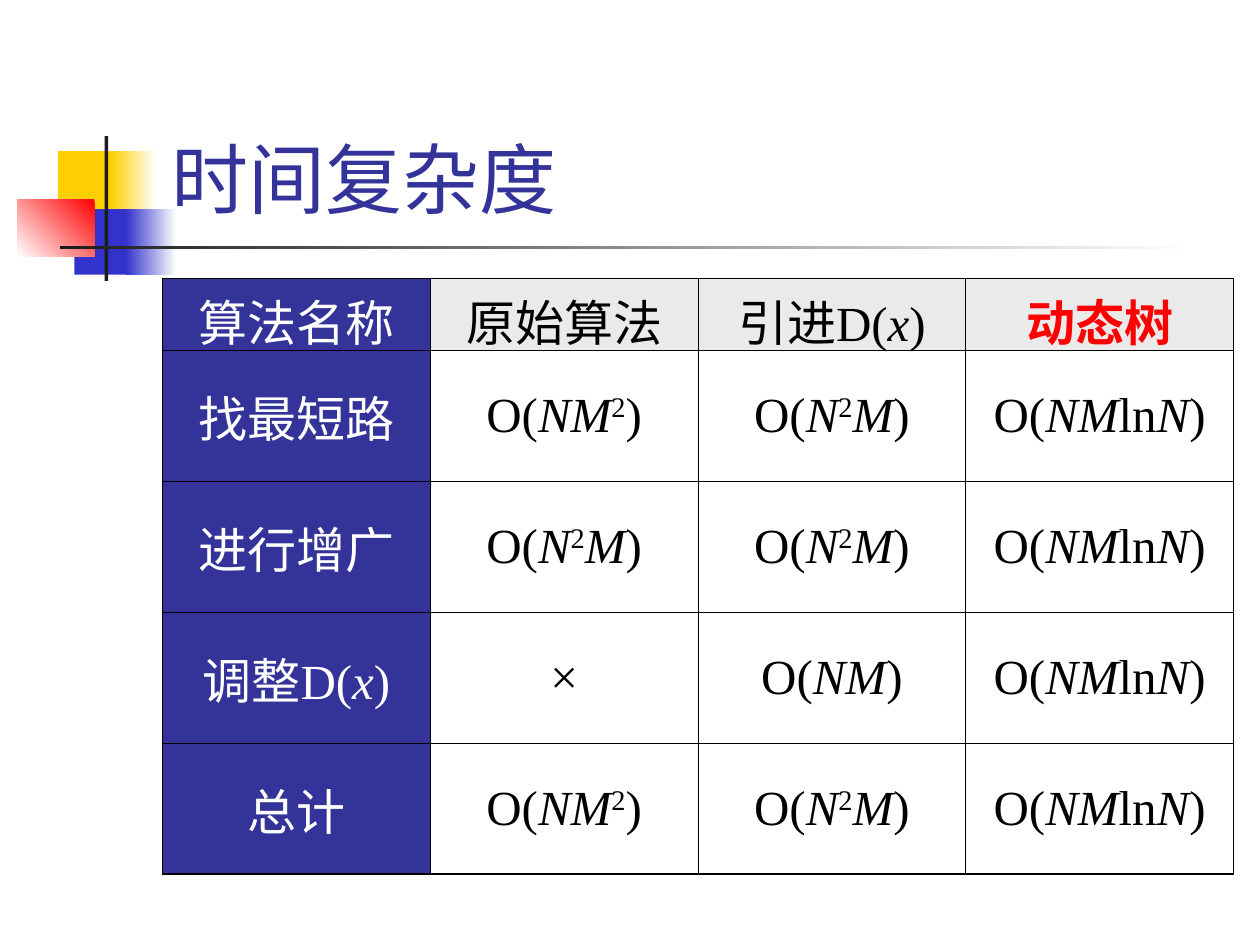
"""Build a slide comparing the time complexity of three algorithms."""
from dataclasses import dataclass
from itertools import groupby

from lxml import etree
from pptx import Presentation
from pptx.dml.color import RGBColor
from pptx.enum.shapes import MSO_SHAPE
from pptx.enum.text import MSO_ANCHOR, PP_ALIGN
from pptx.oxml.ns import qn
from pptx.util import Inches, Pt

RECTANGLE = MSO_SHAPE.RECTANGLE
BOTTOM, MIDDLE = MSO_ANCHOR.BOTTOM, MSO_ANCHOR.MIDDLE
LEFT, CENTER = PP_ALIGN.LEFT, PP_ALIGN.CENTER


@dataclass(frozen=True)
class Theme:
    font: str = "Times New Roman"
    title_size: float = 44
    cell_size: float = 28
    space_before: float = 7
    outer_line: float = 1.08
    inner_line: float = 0.45
    indigo: str = "333399"
    blue: str = "3333CC"
    yellow: str = "FFCF01"
    red: str = "FF0000"
    charcoal: str = "1C1C1C"
    grey: str = "EAEAEA"
    white: str = "FFFFFF"
    black: str = "000000"


def rgb(color):
    return RGBColor.from_string(color)


def math_style(character):
    if character in "NMx":
        return "variable"
    return "exponent" if character.isdigit() else "plain"


def write_text(frame, text, *, font, size, color, bold=False,
               align=LEFT, anchor=MIDDLE, space_before=0):
    frame.word_wrap = True
    frame.vertical_anchor = anchor
    paragraph = frame.paragraphs[0]
    paragraph.alignment = align
    paragraph.space_before = Pt(space_before)
    for style, characters in groupby(text, math_style):
        run = paragraph.add_run()
        run.text = "".join(characters)
        run.font.name = font
        run.font.size = Pt(size)
        run.font.bold = bold
        run.font.italic = style == "variable"
        run.font.color.rgb = rgb(color)
        if style == "exponent":
            run.font._element.set("baseline", "30000")


class SlideBuilder:
    def __init__(self, slide, theme):
        self.slide = slide
        self.theme = theme

    def rectangle(self, left, top, width, height, *colors, angle=180):
        shape = self.slide.shapes.add_shape(
            RECTANGLE, Inches(left), Inches(top), Inches(width), Inches(height))
        shape.shadow.inherit = False
        shape.line.fill.background()
        if len(colors) == 1:
            shape.fill.solid()
            shape.fill.fore_color.rgb = rgb(colors[0])
            return
        shape.fill.gradient()
        shape.fill.gradient_angle = angle
        for stop, color in zip(shape.fill.gradient_stops, colors):
            stop.color.rgb = rgb(color)

    def title(self, text, left, top, width, height):
        box = self.slide.shapes.add_textbox(
            Inches(left), Inches(top), Inches(width), Inches(height))
        write_text(box.text_frame, text, font=self.theme.font,
                   size=self.theme.title_size, color=self.theme.indigo, anchor=BOTTOM)

    def border(self, cell, side, width):
        line = etree.SubElement(cell._tc.get_or_add_tcPr(), qn(f"a:ln{side}"),
                                w=str(Pt(width)))
        fill = etree.SubElement(line, qn("a:solidFill"))
        etree.SubElement(fill, qn("a:srgbClr"), val=self.theme.black)

    def cell(self, cell, text, outer_sides, fill, color, bold):
        theme = self.theme
        for side in "LRTB":
            outer = side in outer_sides
            self.border(cell, side, theme.outer_line if outer else theme.inner_line)
        if fill:
            cell.fill.solid()
            cell.fill.fore_color.rgb = rgb(fill)
        else:
            cell.fill.background()
        cell.vertical_anchor = MIDDLE
        write_text(cell.text_frame, text, font=theme.font, size=theme.cell_size,
                   color=color, bold=bold, align=CENTER, space_before=theme.space_before)

    def table(self, rows, left, top, width, row_heights):
        theme = self.theme
        last_row, last_column = len(rows) - 1, len(rows[0]) - 1
        table = self.slide.shapes.add_table(
            len(rows), len(rows[0]), Inches(left), Inches(top),
            Inches(width), Inches(sum(row_heights))).table
        table.first_row = table.horz_banding = False
        for row, height in zip(table.rows, row_heights):
            row.height = Inches(height)
        for r, texts in enumerate(rows):
            for c, text in enumerate(texts):
                edges = {"L": c == 0, "R": c == last_column,
                         "T": r == 0, "B": r == last_row}
                outer_sides = [side for side, outer in edges.items() if outer]
                highlight = r == 0 and c == last_column
                fill = theme.indigo if c == 0 else theme.grey if r == 0 else None
                color = theme.white if c == 0 else theme.red if highlight else theme.black
                self.cell(table.cell(r, c), text, outer_sides, fill, color, highlight)


def main():
    presentation = Presentation()
    presentation.slide_width, presentation.slide_height = Inches(10), Inches(7.5)
    theme = Theme()
    builder = SlideBuilder(
        presentation.slides.add_slide(presentation.slide_layouts[6]), theme)

    builder.rectangle(0.46, 1.2, 0.48, 0.52, theme.yellow)
    builder.rectangle(0.88, 1.2, 0.36, 0.52, theme.white, theme.yellow)
    builder.rectangle(0.59, 1.66, 0.46, 0.52, theme.blue)
    builder.rectangle(1, 1.66, 0.4, 0.52, theme.white, theme.blue)
    builder.rectangle(0.14, 1.58, 0.61, 0.46, theme.red, theme.white, angle=225)
    builder.rectangle(0.83, 1.08, 0.03, 1.15, theme.charcoal)
    builder.rectangle(0.48, 1.95, 9, 0.03, theme.white, theme.charcoal)

    builder.title("时间复杂度", 1.26, 0.23, 8.52, 1.6)
    builder.table([
        ["算法名称", "原始算法", "引进D(x)", "动态树"],
        ["找最短路", "O(NM2)", "O(N2M)", "O(NMlnN)"],
        ["进行增广", "O(N2M)", "O(N2M)", "O(NMlnN)"],
        ["调整D(x)", "×", "O(NM)", "O(NMlnN)"],
        ["总计", "O(NM2)", "O(N2M)", "O(NMlnN)"],
    ], 1.29, 2.21, 8.5, [0.57] + [1.04] * 4)
    presentation.save("out.pptx")


if __name__ == "__main__":
    main()
